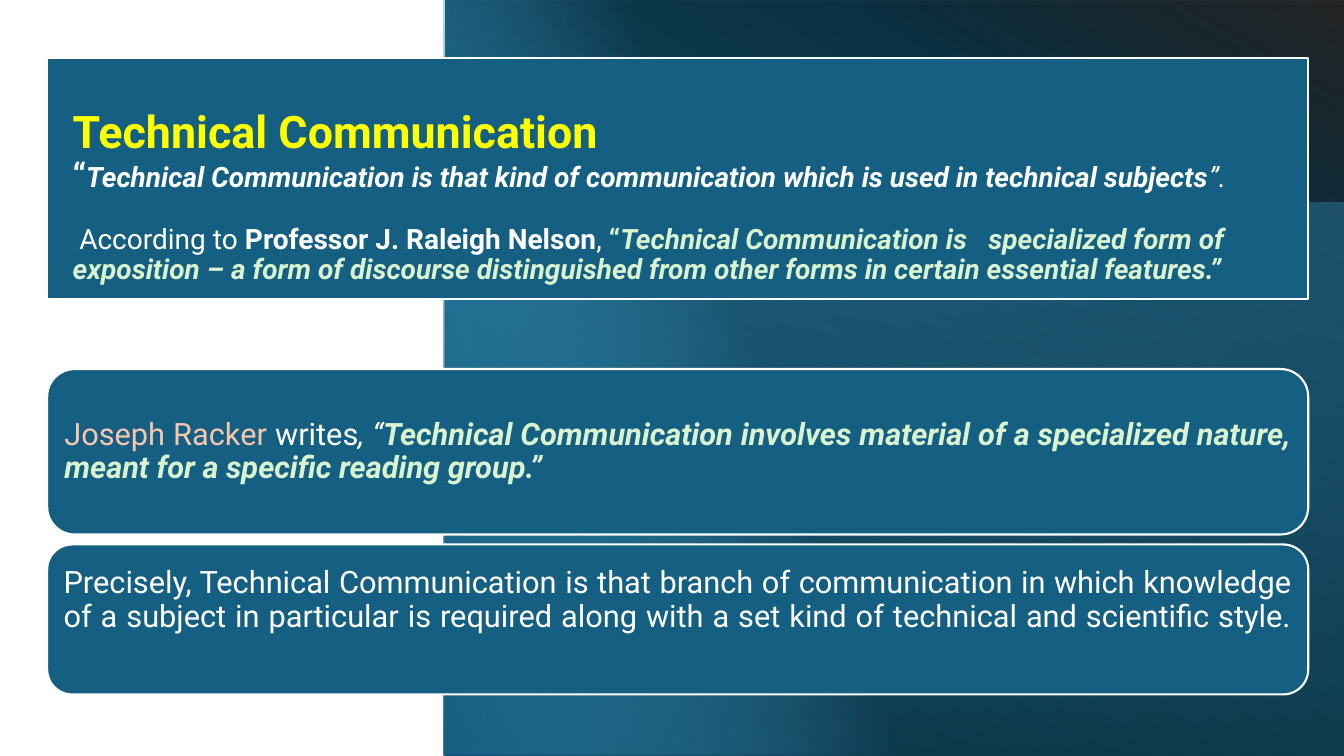
from pptx import Presentation
from pptx.dml.color import RGBColor
from pptx.enum.shapes import MSO_SHAPE
from pptx.enum.text import MSO_ANCHOR, PP_ALIGN
from pptx.oxml import parse_xml
from pptx.oxml.ns import nsdecls
from pptx.util import Cm, Pt

WHITE = "FFFFFF"
YELLOW = "FFFF00"
MINT = "D9F2D0"
PEACH = "F6C6AD"
BLUE = "156082"
SKY = "46B1E1"
BLACK = "000000"

PANEL_LEFT, PANEL_WIDTH = 1.19, 31.78


def set_color(color, value):
    color.rgb = RGBColor.from_string(value)


def add_box(page, kind, left, top, width, height):
    box = page.shapes.add_shape(kind, Cm(left), Cm(top), Cm(width), Cm(height))
    box.shadow.inherit = False
    return box


def add_backdrop(page, place, stops, angle, flip=False, rotation=0):
    box = add_box(page, MSO_SHAPE.RECTANGLE, *place)
    box.line.fill.background()
    box.rotation = rotation
    properties = box._element.spPr
    if flip:
        properties.xfrm.set("flipH", "1")
    marks = "".join(
        f'<a:gs pos="{position * 1000}"><a:srgbClr val="{color}">'
        f'<a:alpha val="{alpha * 1000}"/></a:srgbClr></a:gs>'
        for position, color, alpha in stops
    )
    gradient = parse_xml(
        f'<a:gradFill {nsdecls("a")} rotWithShape="1"><a:gsLst>{marks}</a:gsLst>'
        f'<a:lin ang="{angle * 60000}" scaled="0"/></a:gradFill>'
    )
    properties.insert(2, gradient)


def add_panel(page, kind, top, height, inset, anchor=MSO_ANCHOR.MIDDLE, inset_top=None):
    box = add_box(page, kind, PANEL_LEFT, top, PANEL_WIDTH, height)
    box.fill.solid()
    set_color(box.fill.fore_color, BLUE)
    set_color(box.line.color, WHITE)
    box.line.width = Pt(1.5)
    if kind == MSO_SHAPE.ROUNDED_RECTANGLE:
        box.adjustments[0] = 0.1667
    frame = box.text_frame
    frame.word_wrap = True
    frame.vertical_anchor = anchor
    frame.margin_left = frame.margin_right = frame.margin_bottom = Cm(inset)
    frame.margin_top = Cm(inset if inset_top is None else inset_top)
    return frame


def add_para(frame, align=PP_ALIGN.LEFT, before=0, indent=0):
    para = frame.paragraphs[0]
    if para.runs:
        para = frame.add_paragraph()
    para.alignment = align
    para.line_spacing = 0.9
    para.space_before = Pt(before)
    if indent:
        para._p.get_or_add_pPr().set("indent", str(Cm(indent)))
    return para


def add_span(para, text, size=20, color=WHITE, bold=False, italic=False, tracking=0):
    span = para.add_run()
    span.text = text
    font = span.font
    font.name = "Roboto"
    font.size = Pt(size)
    font.bold = bold
    font.italic = italic
    set_color(font.color, color)
    if tracking:
        span._r.get_or_add_rPr().set("spc", str(tracking * 100))


def add_backdrops(page):
    add_backdrop(page, (11.23, 0, 22.66, 19.05),
                 [(2, BLUE, 100), (78, "0B3041", 100), (100, BLACK, 85)], 300)
    add_backdrop(page, (11.2, 5.11, 22.66, 13.94),
                 [(0, SKY, 30), (100, BLACK, 44)], 80, flip=True)
    add_backdrop(page, (11.28, -0.1, 19.05, 19.23),
                 [(56, SKY, 0), (100, BLUE, 100)], 110, flip=True, rotation=90)


def add_definition(page):
    frame = add_panel(page, MSO_SHAPE.RECTANGLE, 1.47, 6.07, 0.64, MSO_ANCHOR.TOP, 1.3)
    add_span(add_para(frame), "Technical Communication", size=32, color=YELLOW, bold=True)

    para = add_para(frame)
    add_span(para, "“", size=24, bold=True)
    add_span(para, "Technical Communication is that kind of communication "
                   "which is used in technical subjects", bold=True, italic=True)
    add_span(para, "”.", italic=True)

    para = add_para(frame, before=22, indent=0.17)
    add_span(para, "According to ")
    add_span(para, "Professor J. Raleigh Nelson", bold=True)
    add_span(para, ", ")
    add_span(para, "“", color=MINT, bold=True)
    quote = {"color": MINT, "bold": True, "italic": True}
    add_span(para, "Technical Communication is", **quote)
    add_span(para, " ", tracking=10, **quote)
    add_span(para, "specialized form of exposition – a form of discourse distinguished "
                   "from other forms in certain essential features.”", **quote)


def add_racker_quote(page):
    frame = add_panel(page, MSO_SHAPE.ROUNDED_RECTANGLE, 9.3, 4.17, 0.23)
    para = add_para(frame, PP_ALIGN.JUSTIFY)
    add_span(para, "Joseph Racker ", size=22, color=PEACH)
    add_span(para, "writes", size=22)
    add_span(para, ", “", size=22, italic=True)
    add_span(para, "Technical Communication involves material of a specialized nature, "
                   "meant for a specific reading group.”",
             size=22, color=MINT, bold=True, italic=True)


def add_summary(page):
    frame = add_panel(page, MSO_SHAPE.ROUNDED_RECTANGLE, 13.72, 3.78, 0.23,
                      MSO_ANCHOR.TOP, 0.39)
    para = add_para(frame, PP_ALIGN.JUSTIFY)
    add_span(para, "Precisely, Technical Communication is that branch of communication "
                   "in which knowledge of a subject in particular is required along with "
                   "a set kind of technical and scientific style.", size=22)
    para.add_line_break()


def main():
    deck = Presentation()
    deck.slide_width, deck.slide_height = Cm(33.87), Cm(19.05)
    page = deck.slides.add_slide(deck.slide_layouts[6])
    add_backdrops(page)
    add_definition(page)
    add_racker_quote(page)
    add_summary(page)
    deck.save("out.pptx")


if __name__ == "__main__":
    main()
